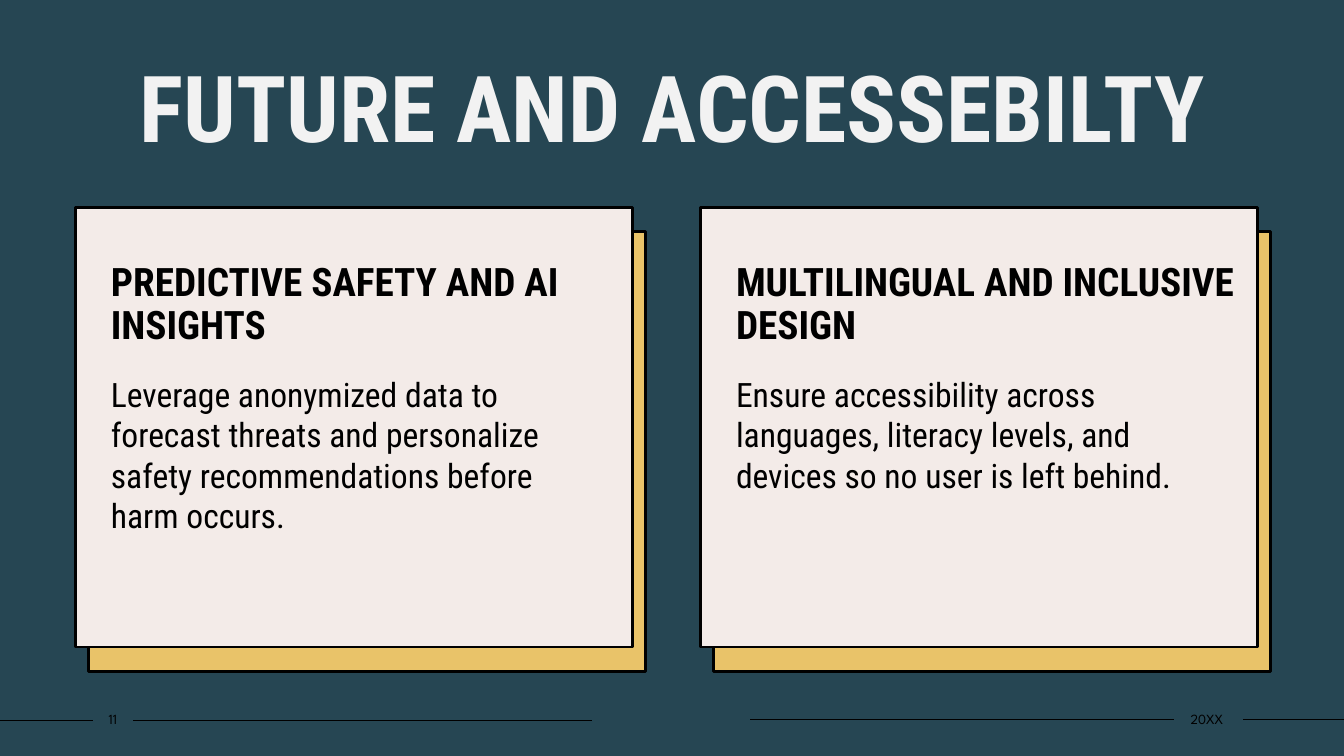
from pptx import Presentation
from pptx.dml.color import RGBColor
from pptx.enum.shapes import MSO_CONNECTOR, MSO_SHAPE
from pptx.enum.text import MSO_ANCHOR, MSO_AUTO_SIZE, PP_ALIGN
from pptx.oxml.ns import qn
from pptx.util import Inches, Pt
from lxml import etree

TITLE = "FUTURE AND ACCESSEBILTY"
CARDS = [
    ("PREDICTIVE SAFETY AND AI INSIGHTS",
     "Leverage anonymized data to forecast threats and personalize "
     "safety recommendations before harm occurs."),
    ("MULTILINGUAL AND INCLUSIVE DESIGN",
     "Ensure accessibility across languages, literacy levels, and "
     "devices so no user is left behind."),
]
FOOTER = [("11", 0.92, 0.4), ("20XX", 11.62, 0.7)]  # text, left, width
RULES = [(0, 0.92, 7.15), (1.32, 5.87, 7.15),       # from x, to x, y
         (7.44, 11.64, 7.14), (12.33, 13.33, 7.14)]

COLORS = {name: RGBColor.from_string(value) for name, value in {
    "background": "264653", "card": "F3EBE8", "accent": "E9C369",
    "black": "000000", "white": "F2F2F2"}.items()}
FACE, FOOTER_FACE = "Roboto Condensed", "League Spartan"
THEME = {
    "title": dict(name=FACE, size=Pt(66), bold=True, color="white"),
    "heading": dict(name=FACE, size=Pt(28), bold=True, color="black"),
    "body": dict(name=FACE, size=Pt(24), bold=False, color="black"),
    "footer": dict(name=FOOTER_FACE, size=Pt(10), bold=False, color="black"),
}

CARD_W, CARD_H, CARD_TOP = 5.52, 4.36, 2.06
CARD_LEFT, CARD_STEP = 0.75, 6.2
SHADOW_DX, SHADOW_DY = 0.13, 0.24
BODY_DX, BODY_TOP, BODY_W, BODY_H = 0.25, 3.66, 5.04, 3.05


def place(sp, left, top, width, height):
    sp.left, sp.top = Inches(left), Inches(top)
    sp.width, sp.height = Inches(width), Inches(height)


def paint(sp, color):
    sp.fill.solid()
    sp.fill.fore_color.rgb = COLORS[color]
    sp.line.color.rgb = COLORS["black"]
    sp.line.width = Pt(2)


def write(sp, text, style, align=PP_ALIGN.LEFT, spacing=1.0,
          anchor=MSO_ANCHOR.TOP, insets=(0.1, 0.05, 0.1, 0.05)):
    tf = sp.text_frame
    tf.word_wrap, tf.auto_size = True, MSO_AUTO_SIZE.NONE
    tf.vertical_anchor = anchor
    for side, inset in zip(("left", "top", "right", "bottom"), insets):
        setattr(tf, f"margin_{side}", Inches(inset))
    p = tf.paragraphs[0]
    p.alignment, p.line_spacing, p.space_before = align, spacing, Pt(0)
    pPr = p._p.get_or_add_pPr()
    pPr.set("marL", "0")
    pPr.set("indent", "0")
    etree.SubElement(pPr, qn("a:buNone"))
    r = p.add_run()
    r.text = text
    for key, value in THEME[style].items():
        if key == "color":
            r.font.color.rgb = COLORS[value]
        else:
            setattr(r.font, key, value)


def add_rule(slide, x1, x2, y):
    line = slide.shapes.add_connector(
        MSO_CONNECTOR.STRAIGHT, Inches(x1), Inches(y), Inches(x2), Inches(y))
    line.line.color.rgb = COLORS["black"]
    line.line.width = Pt(1)
    etree.SubElement(line._element.spPr, qn("a:effectLst"))


def add_card_shadow(slide, left):
    sp = slide.shapes.add_shape(
        MSO_SHAPE.RECTANGLE, Inches(left + SHADOW_DX),
        Inches(CARD_TOP + SHADOW_DY), Inches(CARD_W), Inches(CARD_H))
    sp.shadow.inherit = False
    paint(sp, "accent")
    slide.shapes._spTree.insert(2, sp._element)  # behind the placeholders


def main():
    prs = Presentation()
    prs.slide_width, prs.slide_height = Inches(13.33), Inches(7.5)
    slide = prs.slides.add_slide(prs.slide_layouts.get_by_name("Comparison"))
    slide.background.fill.solid()
    slide.background.fill.fore_color.rgb = COLORS["background"]

    title, *boxes = slide.placeholders
    place(title, 1.25, 0.45, 10.84, 1.11)
    write(title, TITLE, "title", PP_ALIGN.CENTER)

    for i, (heading, body) in enumerate(CARDS):
        left = CARD_LEFT + i * CARD_STEP
        card, detail = boxes[2 * i:2 * i + 2]
        add_card_shadow(slide, left)
        place(card, left, CARD_TOP, CARD_W, CARD_H)
        paint(card, "card")
        write(card, heading, "heading", spacing=0.9,
              insets=(0.35, 0.55, 0.1, 0.05))
        place(detail, left + BODY_DX, BODY_TOP, BODY_W, BODY_H)
        write(detail, body, "body")

    for rule in RULES:
        add_rule(slide, *rule)
    for text, left, width in FOOTER:
        sp = slide.shapes.add_textbox(
            Inches(left), Inches(7), Inches(width), Inches(0.27))
        write(sp, text, "footer", PP_ALIGN.CENTER, anchor=MSO_ANCHOR.MIDDLE,
              insets=(0, 0.05, 0, 0.05))

    prs.save("out.pptx")


if __name__ == "__main__":
    main()
